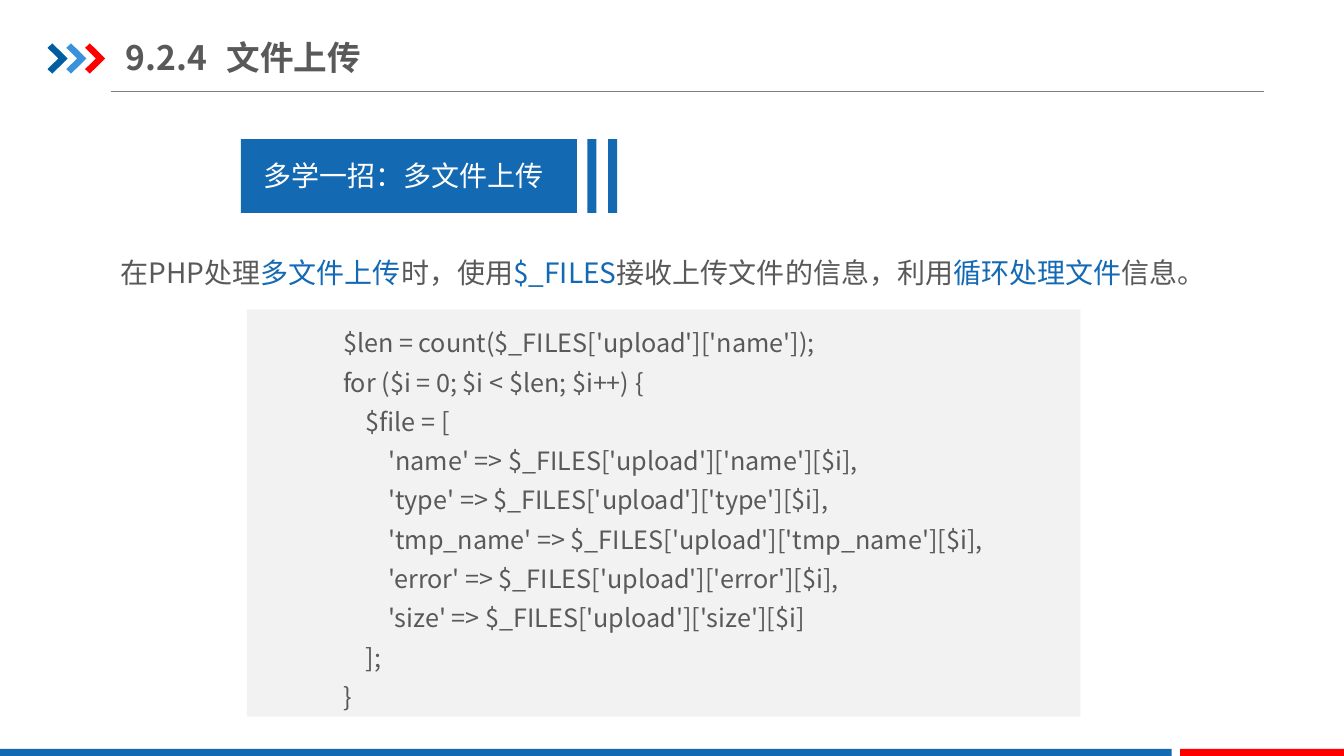
"""Build the slide on uploading several files with PHP."""
from dataclasses import dataclass

from lxml.etree import SubElement
from pptx import Presentation
from pptx.dml.color import RGBColor
from pptx.enum.shapes import MSO_CONNECTOR as Connector, MSO_SHAPE as Shape
from pptx.enum.text import MSO_ANCHOR as Anchor, MSO_AUTO_SIZE as AutoSize, PP_ALIGN as Align
from pptx.oxml.ns import qn
from pptx.util import Pt


@dataclass(frozen=True)
class Theme:
    font: str = "Noto Sans CJK SC"
    ink: str = "595959"
    blue: str = "1369B2"
    accent: str = "1369B3"
    red: str = "FF0000"
    panel: str = "F2F2F2"
    rule: str = "808080"
    white: str = "FFFFFF"
    chevrons: tuple = ("005DA2", "3992DB", "FF0000")
    title_size: float = 24
    body_size: float = 20
    code_size: float = 18


CHEVRON = [(0, 3.2), (3.4, 0), (14.4, 10.8), (3.4, 21.6), (0, 18.4), (7.7, 10.8)]
BODY = [
    ("在PHP处理", False), ("多文件上传", True), ("时，使用", False), ("$_FILES", True),
    ("接收上传文件的信息，利用", False), ("循环处理文件", True), ("信息。", False),
]
CODE = """$len = count($_FILES['upload']['name']);
for ($i = 0; $i < $len; $i++) {
    $file = [
        'name' => $_FILES['upload']['name'][$i],
        'type' => $_FILES['upload']['type'][$i],
        'tmp_name' => $_FILES['upload']['tmp_name'][$i],
        'error' => $_FILES['upload']['error'][$i],
        'size' => $_FILES['upload']['size'][$i]
    ];
}"""


class Page:
    def __init__(self, slide, theme):
        self.slide = slide
        self.shapes = slide.shapes
        self.theme = theme

    def paint(self, shape, color):
        shape.shadow.inherit = False
        shape.fill.solid()
        shape.fill.fore_color.rgb = RGBColor.from_string(color)
        shape.line.fill.background()
        return shape

    def bar(self, left, top, width, height, color):
        lengths = [Pt(length) for length in (left, top, width, height)]
        return self.paint(self.shapes.add_shape(Shape.RECTANGLE, *lengths), color)

    def chevron(self, left, top, color):
        points = [(Pt(left + x), Pt(top + y)) for x, y in CHEVRON]
        builder = self.shapes.build_freeform(*points[0])
        builder.add_line_segments(points[1:], close=True)
        self.paint(builder.convert_to_shape(), color)

    def rule(self, left, right, top):
        line = self.shapes.add_connector(
            Connector.STRAIGHT, Pt(left), Pt(top), Pt(right), Pt(top))
        line.line.color.rgb = RGBColor.from_string(self.theme.rule)
        line.line.width = Pt(0.75)
        SubElement(line._element.spPr, qn("a:effectLst"))

    def place(self, box, left, top, width, height):
        box.left, box.top, box.width, box.height = map(Pt, (left, top, width, height))

    def frame(self, box, anchor=Anchor.TOP, auto_size=AutoSize.SHAPE_TO_FIT_TEXT):
        frame = box.text_frame
        frame.word_wrap = True
        frame.auto_size = auto_size
        frame.vertical_anchor = anchor
        return frame

    def layout(self, para, spacing=1.0, indent=0):
        para.alignment = Align.LEFT
        para.line_spacing = spacing
        para.space_before = para.space_after = Pt(0)
        properties = para._p.get_or_add_pPr()
        properties.set("marL", "0")
        properties.set("indent", str(Pt(indent)))
        SubElement(properties, qn("a:buNone"))
        return properties

    def style(self, span, size, color, bold=False):
        font = span.font
        font.name = self.theme.font
        font.size = Pt(size)
        font.bold = bold
        font.color.rgb = RGBColor.from_string(color)
        SubElement(span._r.get_or_add_rPr(), qn("a:ea"), typeface=self.theme.font)

    def title(self, text, tab, *place):
        box = self.shapes.title
        self.place(box, *place)
        frame = self.frame(box, Anchor.MIDDLE, AutoSize.NONE)
        frame.margin_left = frame.margin_right = 0
        frame.margin_top = frame.margin_bottom = Pt(5)
        frame.text = text
        para = frame.paragraphs[0]
        tabs = SubElement(self.layout(para), qn("a:tabLst"))
        SubElement(tabs, qn("a:tab"), pos=str(Pt(tab)), algn="l")
        self.style(para.runs[0], self.theme.title_size, self.theme.ink, True)

    def label(self, text, *place):
        frame = self.frame(self.bar(*place, self.theme.blue))
        frame.text = text
        para = frame.paragraphs[0]
        self.layout(para)
        self.style(para.runs[0], self.theme.body_size, self.theme.white)

    def body(self, pieces, *place):
        box = self.slide.placeholders[1]
        self.place(box, *place)
        para = self.frame(box).paragraphs[0]
        self.layout(para, 1.5)
        for text, marked in pieces:
            span = para.add_run()
            span.text = text
            color = self.theme.accent if marked else self.theme.ink
            self.style(span, self.theme.body_size, color)

    def code(self, text, *place):
        frame = self.frame(self.shapes.add_textbox(*map(Pt, place)))
        frame.text = text
        for para in frame.paragraphs:
            self.layout(para, 1.3, 21)
            self.style(para.runs[0], self.theme.code_size, self.theme.ink)


def main():
    deck = Presentation()
    deck.slide_width, deck.slide_height = Pt(960), Pt(540)
    theme = Theme()
    page = Page(deck.slides.add_slide(deck.slide_layouts[1]), theme)

    page.rule(79, 903, 65.5)
    for index, color in enumerate(theme.chevrons):
        page.chevron(34 + 13.4 * index, 31, color)
    page.bar(0, 535, 837, 5, theme.blue)
    page.bar(843, 535, 117, 5, theme.red)
    page.title("9.2.4\t文件上传", 74, 90, 21, 307, 40)

    page.bar(172, 99.4, 240, 52.6, theme.blue)
    page.label("多学一招：多文件上传", 181, 110, 231, 31.5)
    for left in (419.5, 434.3):
        page.bar(left, 99.4, 6.5, 52.6, theme.blue)

    page.body(BODY, 79, 167, 783, 44)
    page.bar(176.4, 221, 595.4, 291, theme.panel)
    page.code(CODE, 217, 224, 590, 288)
    deck.save("out.pptx")


if __name__ == "__main__":
    main()
